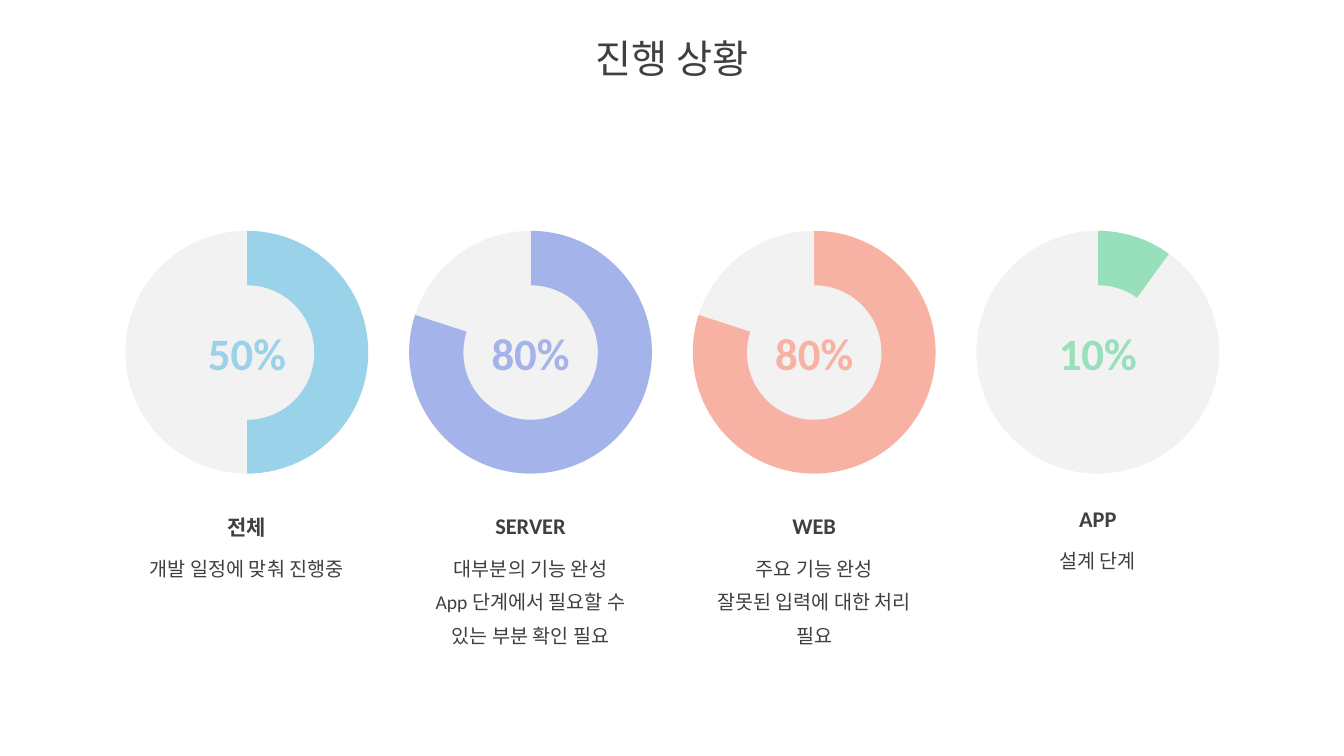
from lxml import etree
from pptx import Presentation
from pptx.chart.data import CategoryChartData
from pptx.dml.color import RGBColor
from pptx.enum.chart import XL_CHART_TYPE
from pptx.enum.shapes import MSO_SHAPE
from pptx.enum.text import MSO_ANCHOR, PP_ALIGN
from pptx.util import Pt

DOUGHNUT = XL_CHART_TYPE.DOUGHNUT
OVAL = MSO_SHAPE.OVAL
CENTER = PP_ALIGN.CENTER
TOP, MIDDLE = MSO_ANCHOR.TOP, MSO_ANCHOR.MIDDLE
TITLE_ONLY = 5

FONT = "Calibri"
INK, TRACK = "404040", "F2F2F2"
CHART_NS = "http://schemas.openxmlformats.org/drawingml/2006/chart"


def rgb(value):
    return RGBColor.from_string(value)


class ProgressSlide:
    """Holds the slide and draws its elements; all lengths are in points."""

    def __init__(self, slide):
        self.slide = slide

    def fill_text(self, frame, lines, size, color=INK, bold=False, anchor=TOP,
                  spacing=None, before=0):
        frame.word_wrap = True
        frame.vertical_anchor = anchor
        for i, line in enumerate(lines):
            paragraph = frame.paragraphs[0] if i == 0 else frame.add_paragraph()
            paragraph.alignment = CENTER
            paragraph.space_before = Pt(before)
            if spacing:
                paragraph.line_spacing = spacing
            run = paragraph.add_run()
            run.text = line
            run.font.name = FONT
            run.font.size = Pt(size)
            run.font.bold = bold
            run.font.color.rgb = rgb(color)

    def title(self, text, left, top, width, height):
        heading = self.slide.shapes.title
        heading.left, heading.top = Pt(left), Pt(top)
        heading.width, heading.height = Pt(width), Pt(height)
        self.fill_text(heading.text_frame, [text], 28, anchor=MIDDLE,
                       spacing=0.9, before=10)

    def text(self, lines, center, top, width, height, size, **style):
        box = self.slide.shapes.add_textbox(
            Pt(center - width / 2), Pt(top), Pt(width), Pt(height))
        self.fill_text(box.text_frame, lines, size, **style)

    def disc(self, center, top, diameter):
        disc = self.slide.shapes.add_shape(
            OVAL, Pt(center - diameter / 2), Pt(top), Pt(diameter), Pt(diameter))
        disc.shadow.inherit = False
        disc.fill.solid()
        disc.fill.fore_color.rgb = rgb(TRACK)
        disc.line.fill.background()

    def ring(self, percent, color, center, top, width, height):
        data = CategoryChartData()
        data.categories = ["1", "2"]
        data.add_series("Series 1", (percent, 100 - percent))
        chart = self.slide.shapes.add_chart(
            DOUGHNUT, Pt(center - width / 2), Pt(top), Pt(width), Pt(height),
            data).chart
        chart.has_title = False
        chart.has_legend = False
        chart.font.name = FONT
        chart.font.size = Pt(18)
        chart.font.color.rgb = rgb("000000")
        for i, fill in enumerate((color, TRACK)):
            part = chart.plots[0].series[0].points[i].format
            part.fill.solid()
            part.fill.fore_color.rgb = rgb(fill)
            part.line.fill.background()
        self.fit_ring(chart)

    def fit_ring(self, chart):
        """Set the hole size and stretch the plot over the chart's frame."""
        space = chart._chartSpace
        space.xpath(".//c:holeSize")[0].set("val", "75")
        plot_area = space.xpath(".//c:plotArea")[0]
        for old in plot_area.xpath("c:layout"):
            plot_area.remove(old)
        layout = etree.Element(f"{{{CHART_NS}}}layout")
        manual = etree.SubElement(layout, f"{{{CHART_NS}}}manualLayout")
        for tag, val in (("layoutTarget", "inner"), ("xMode", "edge"),
                         ("yMode", "edge"), ("x", "0"), ("y", "0.02"),
                         ("w", "1"), ("h", "0.96")):
            etree.SubElement(manual, f"{{{CHART_NS}}}{tag}").set("val", val)
        plot_area.insert(0, layout)


# Name, name size, percent, colour, notes, vertical shift of the caption
STAGES = [
    ("전체", 15, 50, "9AD3E9", ["개발 일정에 맞춰 진행중"], 0),
    ("SERVER", 16, 80, "A4B4EA",
     ["대부분의 기능 완성", "App 단계에서 필요할 수 있는 부분 확인 필요"], 0),
    ("WEB", 16, 80, "F8B2A3",
     ["주요 기능 완성", "잘못된 입력에 대한 처리 필요"], 0),
    ("APP", 16, 10, "98DFBB", ["설계 단계"], -5.7),
]
FIRST_CENTER, PITCH = 176.4, 202.6


def main():
    deck = Presentation()
    deck.slide_width, deck.slide_height = Pt(960), Pt(540)
    page = ProgressSlide(
        deck.slides.add_slide(deck.slide_layouts[TITLE_ONLY]))

    page.title("진행 상황", 0, 13, 960, 60.5)

    for i, (name, name_size, percent, color, notes, shift) in enumerate(STAGES):
        center = FIRST_CENTER + i * PITCH
        # Progress ring with its figure
        page.ring(percent, color, center, 161.3, 174.2, 180.7)
        page.disc(center, 203.8, 96)
        page.text([f"{percent}%"], center, 229, 98, 46, 32,
                  color=color, bold=True, anchor=MIDDLE)
        # Caption
        page.text([name], center, 357.8 + shift, 161.3, 29.5, name_size,
                  bold=True, spacing=Pt(24))
        page.text(notes, center, 386.8 + shift, 161.3, 78, 14, spacing=Pt(24))

    deck.save("out.pptx")


if __name__ == "__main__":
    main()
